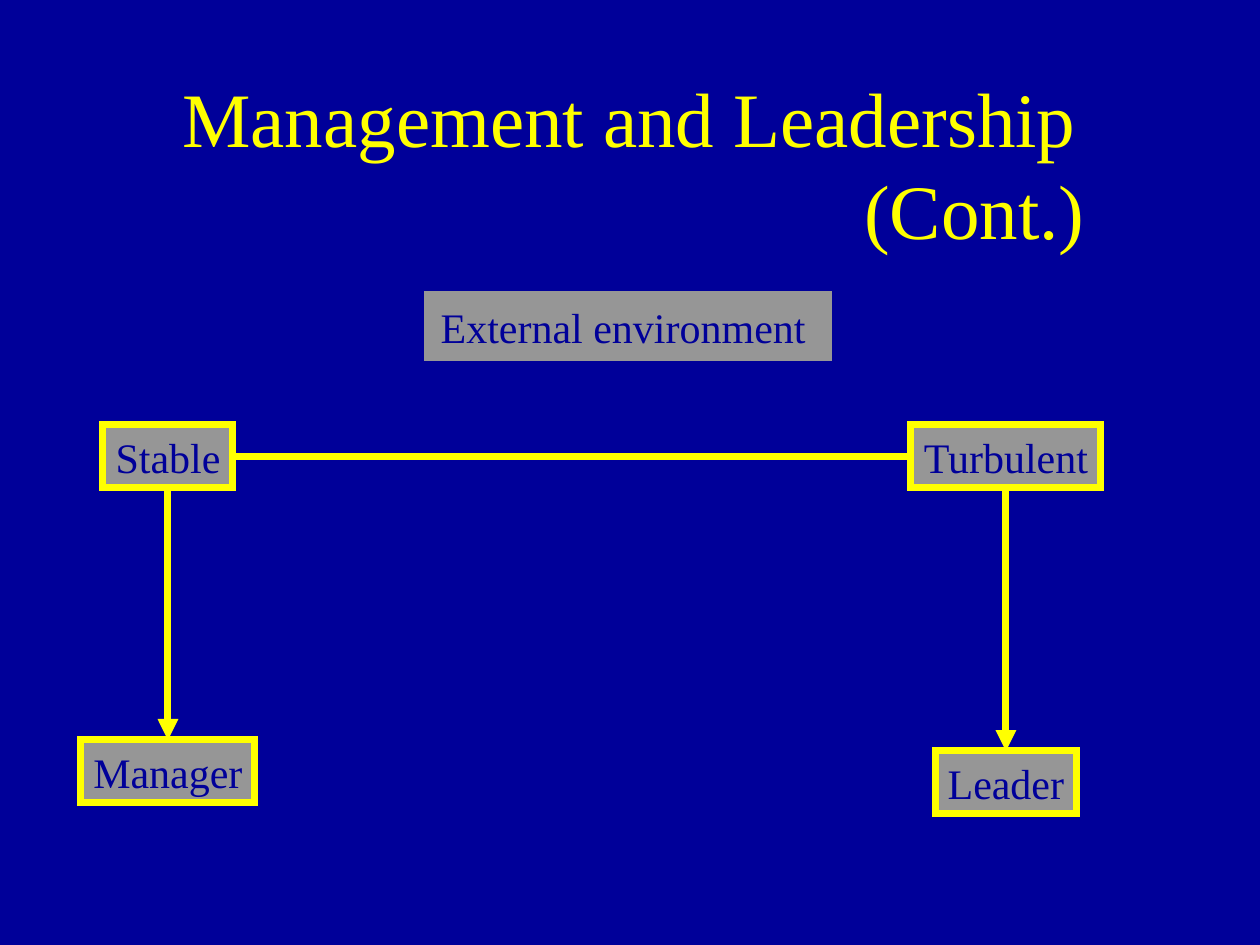
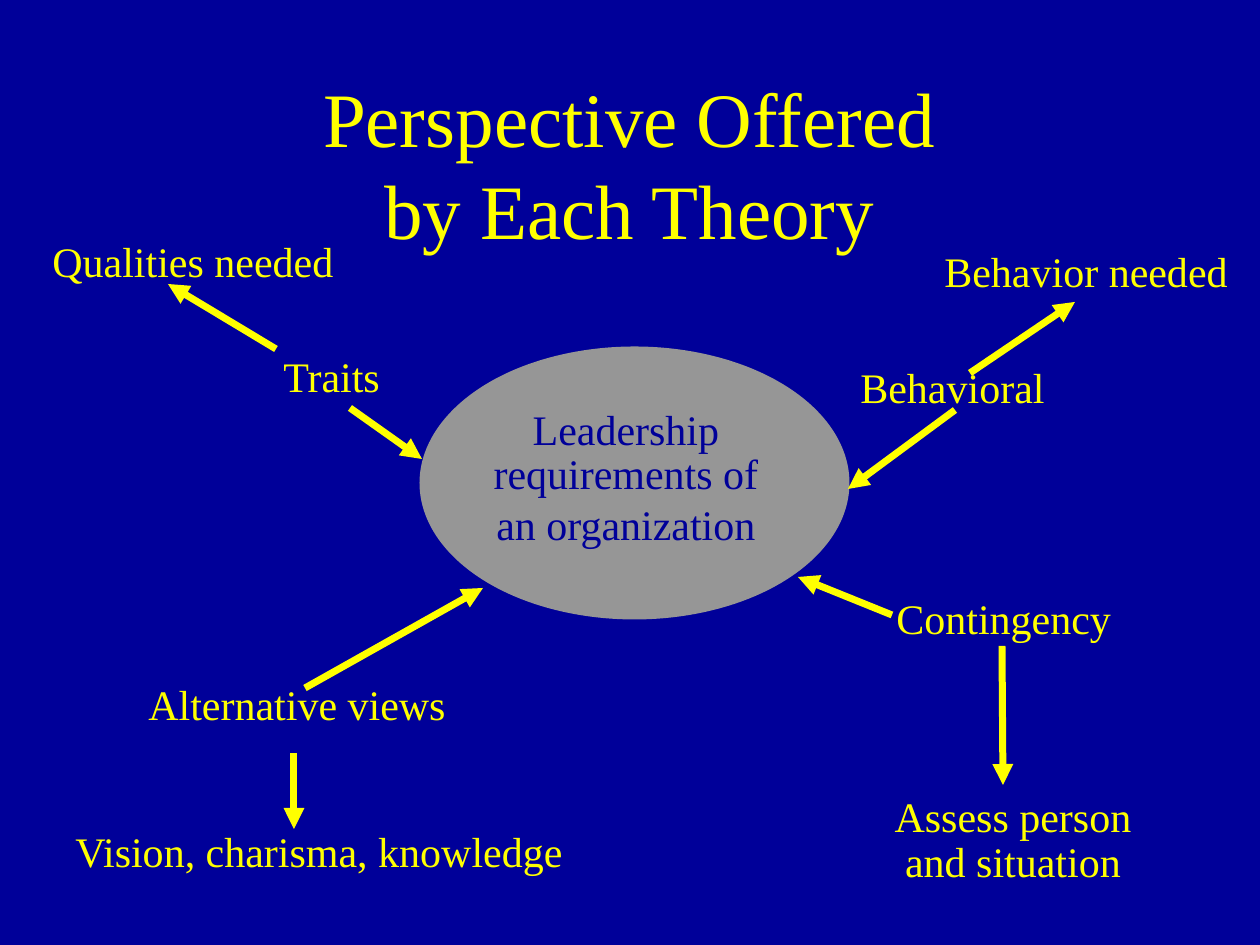
from dataclasses import dataclass

from lxml import etree
from pptx import Presentation
from pptx.dml.color import RGBColor
from pptx.enum.shapes import MSO_CONNECTOR, MSO_SHAPE
from pptx.enum.text import MSO_ANCHOR, PP_ALIGN
from pptx.oxml.ns import qn
from pptx.util import Emu, Pt

RECTANGLE, OVAL = MSO_SHAPE.RECTANGLE, MSO_SHAPE.OVAL
STRAIGHT = MSO_CONNECTOR.STRAIGHT
TOP, MIDDLE = MSO_ANCHOR.TOP, MSO_ANCHOR.MIDDLE
LEFT, CENTER = PP_ALIGN.LEFT, PP_ALIGN.CENTER
TOP_SIDE, LEFT_SIDE, BOTTOM_SIDE, RIGHT_SIDE = range(4)

PX_PER_INCH = 126
LINE_HEIGHT = 63  # height of a box with one line of body text


@dataclass(frozen=True)
class Theme:
    navy: RGBColor = RGBColor(0x00, 0x00, 0x99)
    yellow: RGBColor = RGBColor(0xFF, 0xFF, 0x00)
    gray: RGBColor = RGBColor(0x96, 0x96, 0x96)
    font: str = "Times New Roman"
    title_size: int = 44
    body_size: int = 24
    line_width: float = 4
    title_box: tuple = (94, 84, 1071, 158)


THEME = Theme()


def px(length):
    return Emu(round(length * 914400 / PX_PER_INCH))


def within(box, part):
    """Shift a point or a part from the box's own coordinates to the page's."""
    return (box[0] + part[0], box[1] + part[1], *part[2:])


def write(frame, text, size=THEME.body_size, color=THEME.yellow, align=LEFT,
          anchor=TOP, wrap=False, spacings=None, indents=None):
    """Fill the frame, one paragraph a line; spacings and indents go by line."""
    frame.word_wrap = wrap
    frame.vertical_anchor = anchor
    for index, line in enumerate(text.split("\n")):
        para = frame.add_paragraph() if index else frame.paragraphs[0]
        para.alignment = align
        if spacings:
            para.line_spacing = spacings[index]
        if indents:
            para._p.get_or_add_pPr().set("marL", str(px(indents[index])))
        span = para.add_run()
        span.text = line
        span.font.name = THEME.font
        span.font.size = Pt(size)
        span.font.color.rgb = color


def add_text(page, box, text, **style):
    write(page.shapes.add_textbox(*map(px, box)).text_frame, text, **style)


def set_outline(item, color, detail=None, **attributes):
    """Style the line of a shape or connector, with one more a: element if named."""
    item.line.color.rgb = color
    item.line.width = Pt(THEME.line_width)
    if detail:
        outline = item._element.spPr.find(qn("a:ln"))
        etree.SubElement(outline, qn(detail), **attributes)


def add_panel(page, box, text="", kind=RECTANGLE, outline=THEME.gray, wrap=False):
    """Draw a gray shape with navy text."""
    panel = page.shapes.add_shape(kind, *map(px, box))
    panel.shadow.inherit = False
    panel.fill.solid()
    panel.fill.fore_color.rgb = THEME.gray
    set_outline(panel, outline, "a:miter", lim="800000")
    if text:
        write(panel.text_frame, text, color=THEME.navy, align=CENTER, wrap=wrap)
    return panel


def add_line(page, start=(0, 0), end=(0, 0), arrow=True):
    line = page.shapes.add_connector(STRAIGHT, *map(px, (*start, *end)))
    if arrow:
        set_outline(line, THEME.yellow, "a:tailEnd", type="triangle")
    else:
        set_outline(line, THEME.yellow)
    etree.SubElement(line._element.spPr, qn("a:effectLst"))
    return line


def join(page, start, start_side, end, end_side, arrow=True):
    line = add_line(page, arrow=arrow)
    line.begin_connect(start, start_side)
    line.end_connect(end, end_side)


def add_page(deck, title, indents=None):
    page = deck.slides.add_slide(deck.slide_layouts[6])
    page.background.fill.solid()
    page.background.fill.fore_color.rgb = THEME.navy
    add_text(page, THEME.title_box, title, size=THEME.title_size, align=CENTER,
             anchor=MIDDLE, wrap=True, indents=indents)
    return page


def environment_diagram(page, box):
    """Link each state of the environment to the role that suits it."""
    add_panel(page, within(box, (351, 0, 401, LINE_HEIGHT)),
              "External environment ", wrap=True)

    def column_panel(center, top, width, text):
        part = (center - width / 2, top, width, LINE_HEIGHT)
        return add_panel(page, within(box, part), text, outline=THEME.yellow)

    states = []
    for center, state_name, state_width, role_name, role_width, role_top in (
        (91, "Stable", 130, "Manager", 174, 445),
        (929, "Turbulent", 190, "Leader", 141, 456),
    ):
        state = column_panel(center, 130, state_width, state_name)
        role = column_panel(center, role_top, role_width, role_name)
        join(page, state, BOTTOM_SIDE, role, TOP_SIDE)
        states.append(state)
    stable, turbulent = states
    join(page, stable, RIGHT_SIDE, turbulent, LEFT_SIDE, arrow=False)


def organization_oval(page, box):
    add_panel(page, box, kind=OVAL)
    add_text(page, within(box, (58, 47, 290, 159)),
             "Leadership\nrequirements of\nan organization",
             color=THEME.navy, align=CENTER, spacings=(1, 0.9, 1))


def theory_branch(page, box, theory, outcome, arrows):
    """Place a theory and its outcome, each a text with its place in the box."""
    for text, part in (theory, outcome):
        several = "\n" in text
        add_text(page, within(box, part), text, align=CENTER if several else LEFT,
                 spacings=(0.9, 0.9) if several else None)
    for start, end in arrows:
        add_line(page, within(box, start), within(box, end))


def theory_map(page):
    organization_oval(page, (423, 350, 423, 266))
    theory_branch(page, (40, 229),
                  ("Traits", (231, 115, 126, LINE_HEIGHT)),
                  ("Qualities needed", (0, 0, 310, LINE_HEIGHT)),
                  [((310, 179), (382, 230)), ((236, 120), (128, 55))])
    theory_branch(page, (848, 239),
                  ("Behavioral", (0, 116, 216, LINE_HEIGHT)),
                  ("Behavior needed", (84, 0, 312, LINE_HEIGHT)),
                  [((107, 171), (0, 250)), ((122, 134), (227, 63))])
    theory_branch(page, (882, 586),
                  ("Contingency", (2, 0, 246, LINE_HEIGHT)),
                  ("Assess person\nand situation", (0, 204, 262, 103)),
                  [((10, 29), (-84, -9)), ((120, 60), (121, 199))])
    theory_branch(page, (63, 672),
                  ("Alternative views", (73, 0, 326, LINE_HEIGHT)),
                  ("Vision, charisma, knowledge", (0, 147, 518, LINE_HEIGHT)),
                  [((242, 16), (420, -84)), ((231, 81), (231, 157))])


def main():
    deck = Presentation()
    deck.slide_width, deck.slide_height = px(1260), px(945)
    page = add_page(deck, "Management and Leadership\n(Cont.)", indents=(0, 690))
    environment_diagram(page, (77, 295))
    theory_map(add_page(deck, "Perspective Offered\nby Each Theory"))
    deck.save("out.pptx")


if __name__ == "__main__":
    main()
